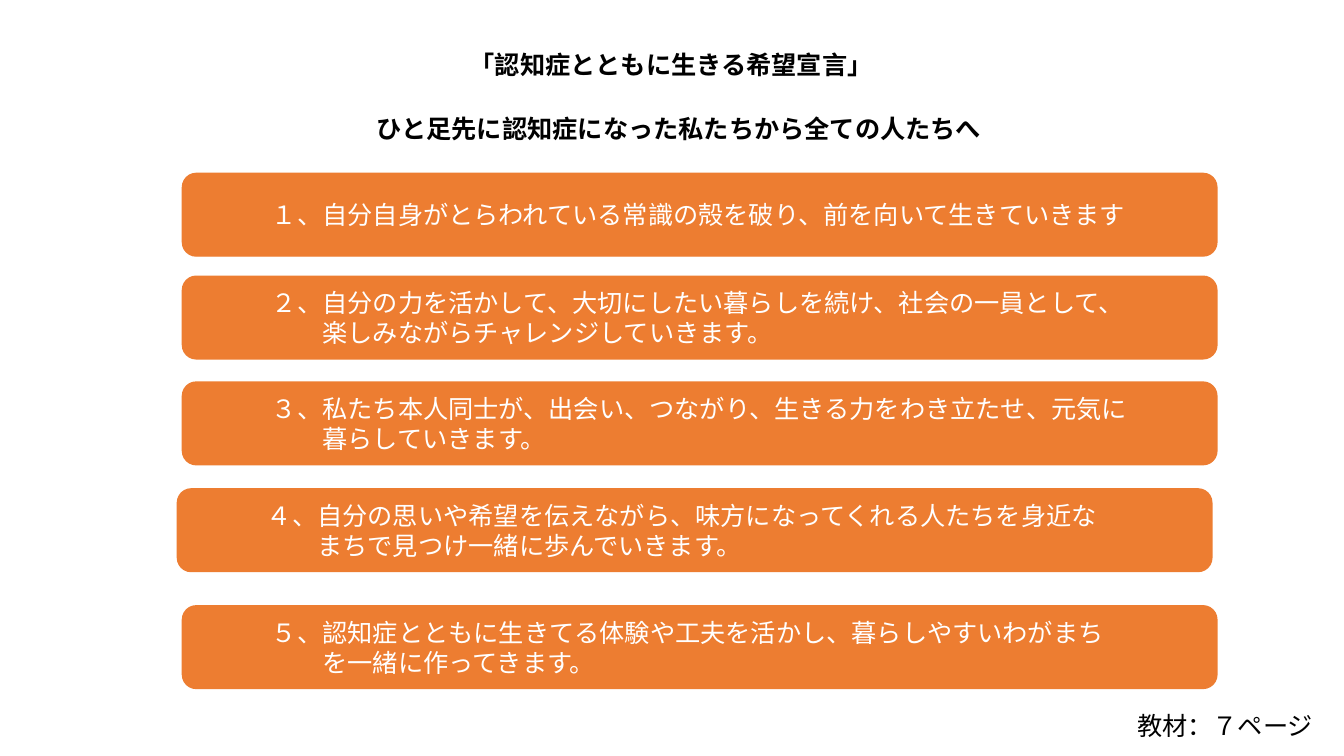
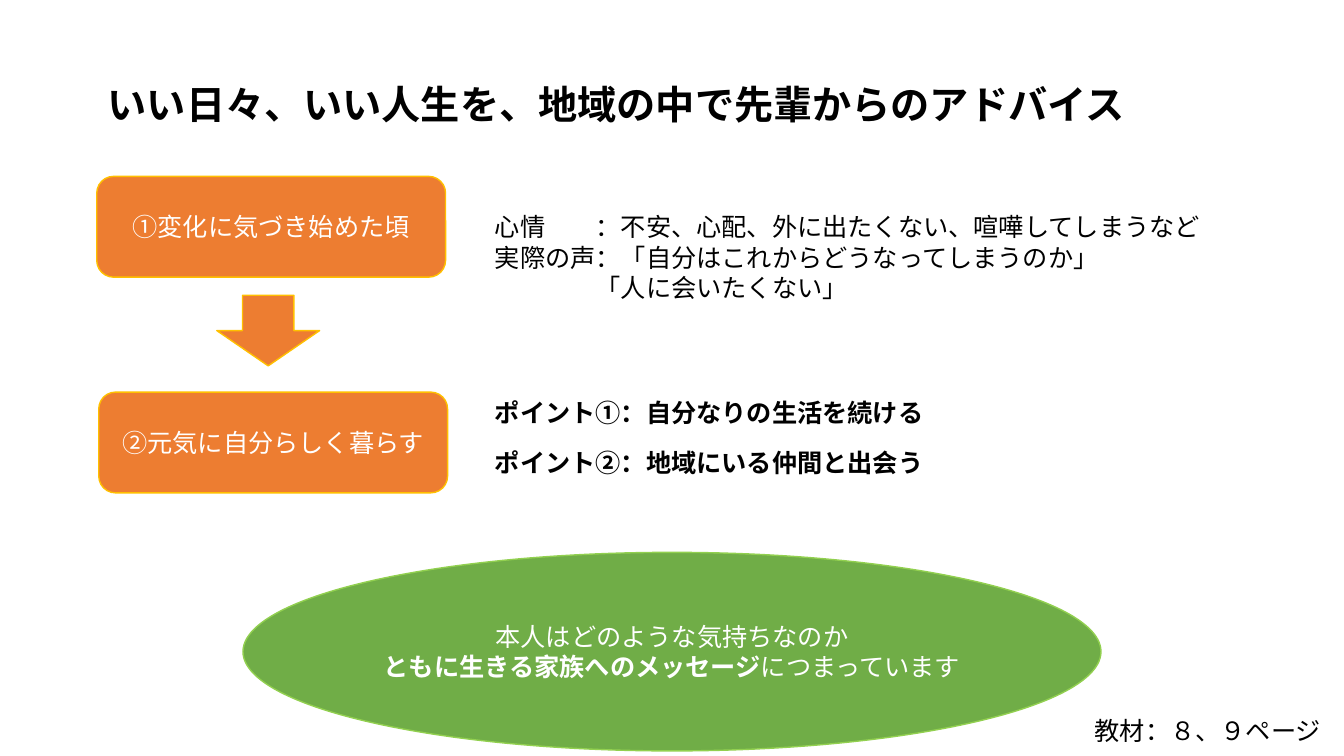
from lxml.etree import SubElement
from pptx import Presentation
from pptx.dml.color import RGBColor
from pptx.enum.shapes import MSO_SHAPE
from pptx.enum.text import MSO_ANCHOR, PP_ALIGN
from pptx.oxml.ns import qn
from pptx.util import Inches, Pt

FONT = "Calibri"
BLACK, WHITE = "000000", "FFFFFF"
ORANGE, GOLD, GREEN, LIME = "ED7D31", "FFC000", "70AD47", "92D050"
EM = 0.25  # width in inches of one full-width character at 18 pt

# Slide 1: (text, left, top, width)
DECLARATION_TITLES = [
    ("「認知症とともに生きる希望宣言」", 4.56, 0.44, 4.44),
    ("ひと足先に認知症になった私たちから全ての人たちへ", 3.64, 1.08, 6.28),
]
# (left, top, text); \v starts a new line inside the paragraph
DECLARATIONS = [
    (1.81, 1.72, "１、自分自身がとらわれている常識の殻を破り、前を向いて生きていきます"),
    (1.81, 2.74, "２、自分の力を活かして、大切にしたい暮らしを続け、社会の一員として、"
                 "\v楽しみながらチャレンジしていきます。"),
    (1.81, 3.79, "３、私たち本人同士が、出会い、つながり、生きる力をわき立たせ、元気に"
                 "\v暮らしていきます。"),
    (1.76, 4.85, "４、自分の思いや希望を伝えながら、味方になってくれる人たちを身近な"
                 "\vまちで見つけ一緒に歩んでいきます。"),
    (1.81, 6.01, "５、認知症とともに生きてる体験や工夫を活かし、暮らしやすいわがまち"
                 "\vを一緒に作ってきます。"),
]
DECLARATION_PAGE = ("教材：７ページ", 11.18, 7, 2.05)

# Slide 2
ADVICE_TITLE = "いい日々、いい人生を、地域の中で先輩からのアドバイス"
STAGES = [(0.96, 1.75, "①変化に気づき始めた頃"), (0.98, 3.89, "②元気に自分らしく暮らす")]
FEELINGS = [
    "心情\t：不安、心配、外に出たくない、喧嘩してしまうなど",
    "実際の声：「自分はこれからどうなってしまうのか」\v\t「人に会いたくない」",
]
POINTS = ["ポイント①：自分なりの生活を続ける", "ポイント②：地域にいる仲間と出会う"]
# A line may also be a list of (text, bold) runs
MESSAGE = [
    "本人はどのような気持ちなのか",
    [("ともに生きる家族へのメッセージ", True), ("につまっています", False)],
]
ADVICE_PAGE = ("教材：８、９ページ", 10.76, 7.05, 2.66)


def rgb(value):
    return RGBColor.from_string(value)


def write(frame, lines, size=18, color=BLACK, bold=False, align=PP_ALIGN.LEFT,
          margin=0, hanging=0, tabs=(), gap=0):
    """Fill a text frame; margin, hanging and tabs are in inches, gap in points."""
    frame.word_wrap = True
    for index, line in enumerate(lines):
        paragraph = frame.add_paragraph() if index else frame.paragraphs[0]
        paragraph.alignment = align
        if index and gap:
            paragraph.space_before = Pt(gap)
        properties = paragraph._p.get_or_add_pPr()
        if margin:
            properties.set("marL", str(Inches(margin)))
            properties.set("indent", str(-Inches(hanging)))
        if tabs:
            stops = SubElement(properties, qn("a:tabLst"))
            for stop in tabs:
                SubElement(stops, qn("a:tab"), pos=str(Inches(stop)), algn="l")
        if isinstance(line, str):
            paragraph.text = line
            weights = [bold] * len(paragraph.runs)
        else:
            for text, _ in line:
                paragraph.add_run().text = text
            weights = [weight for _, weight in line]
        for run, weight in zip(paragraph.runs, weights):
            run.font.name, run.font.size, run.font.bold = FONT, Pt(size), weight
            run.font.color.rgb = rgb(color)


def add_text(slide, lines, left, top, width, height=0.4, **style):
    box = slide.shapes.add_textbox(*map(Inches, (left, top, width, height)))
    write(box.text_frame, lines, **style)


def add_figure(slide, kind, left, top, width, height, lines=(), fill=ORANGE, line=GOLD, **style):
    figure = slide.shapes.add_shape(kind, *map(Inches, (left, top, width, height)))
    figure.shadow.inherit = False
    figure.fill.solid()
    figure.fill.fore_color.rgb = rgb(fill)
    figure.line.color.rgb = rgb(line)
    figure.line.width = Pt(1)
    figure.text_frame.vertical_anchor = MSO_ANCHOR.MIDDLE
    write(figure.text_frame, lines, **{"color": WHITE, "align": PP_ALIGN.CENTER, **style})


def add_page_reference(slide, text, left, top, width):
    add_text(slide, [text], left, top, width)


def build_declaration(slide):
    for text, left, top, width in DECLARATION_TITLES:
        add_text(slide, [text], left, top, width, bold=True)
    for left, top, text in DECLARATIONS:
        add_figure(slide, MSO_SHAPE.ROUNDED_RECTANGLE, left, top, 10.26, 0.82, [text],
                   line=ORANGE, align=PP_ALIGN.LEFT, margin=5 * EM, hanging=2 * EM)
    add_page_reference(slide, *DECLARATION_PAGE)


def build_advice(slide):
    add_text(slide, [ADVICE_TITLE], 0.97, 0.75, 10.81, 0.57, size=28, bold=True)
    for left, top, text in STAGES:
        add_figure(slide, MSO_SHAPE.ROUNDED_RECTANGLE, left, top, 3.46, 1, [text])
    add_figure(slide, MSO_SHAPE.DOWN_ARROW, 2.15, 2.93, 1.02, 0.7)
    add_text(slide, FEELINGS, 4.81, 2.05, 7.44, 1.01, tabs=(4 * EM, 5 * EM))
    add_text(slide, POINTS, 4.81, 3.89, 7.44, 0.9, bold=True, gap=14.5)
    add_figure(slide, MSO_SHAPE.OVAL, 2.41, 5.48, 8.51, 1.97, MESSAGE, fill=GREEN, line=LIME)
    add_page_reference(slide, *ADVICE_PAGE)


def main():
    deck = Presentation()
    deck.slide_width, deck.slide_height = Inches(13.33), Inches(7.5)
    for build in (build_declaration, build_advice):
        build(deck.slides.add_slide(deck.slide_layouts[6]))
    deck.save("out.pptx")


if __name__ == "__main__":
    main()
